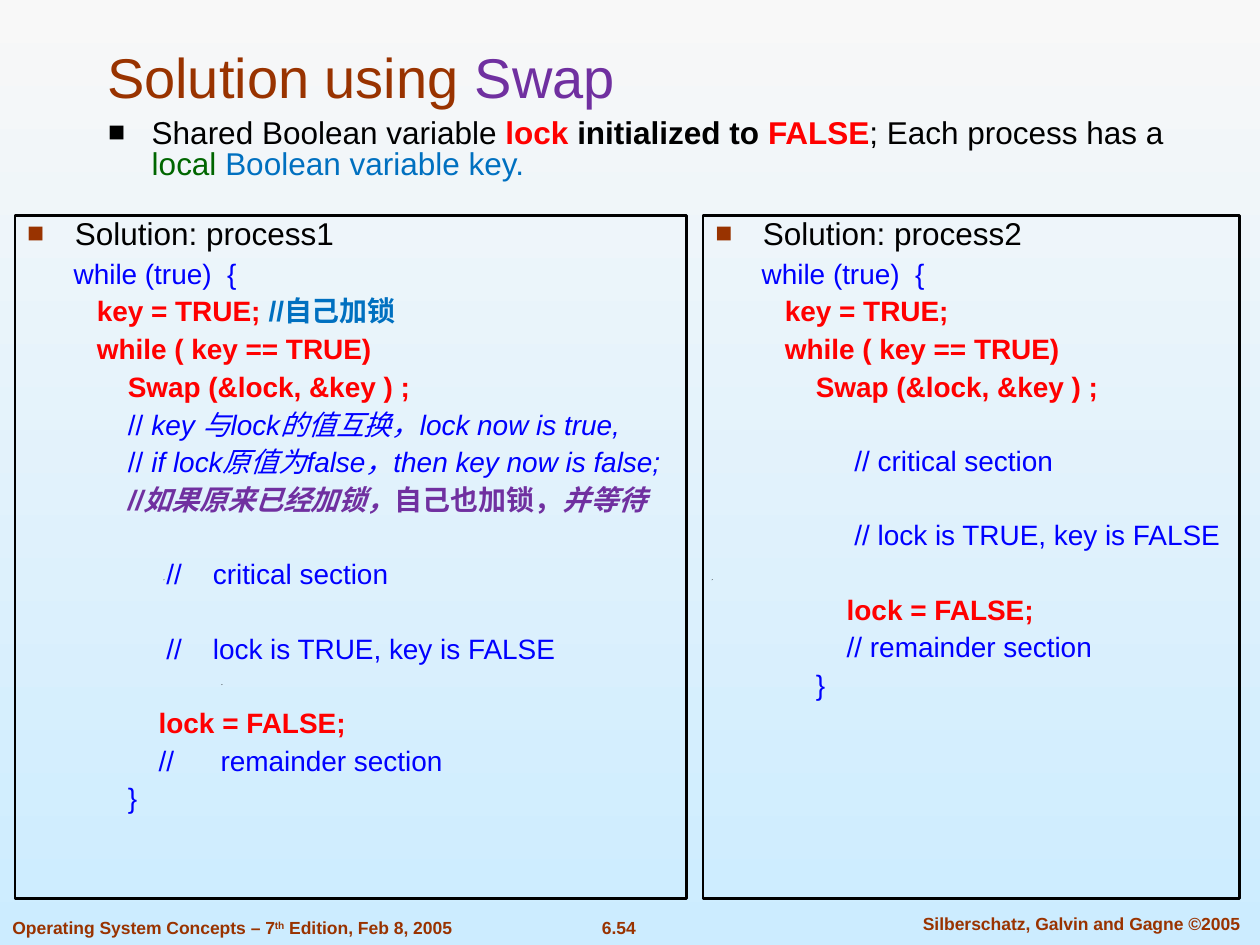
from dataclasses import dataclass

from lxml import etree
from pptx import Presentation
from pptx import util as u
from pptx.dml.color import RGBColor
from pptx.enum import shapes, text
from pptx.oxml import ns

COLORS = {
    "sky_top": "F8F8F8", "sky_bottom": "CCECFF", "brown": "993300",
    "black": "000000", "red": "FF0000", "blue": "0000FF",
    "purple": "7030A0", "green": "006600", "azure": "0070C0",
}
FONT = "Arial"
LINE_GAP = 6.2
BLANK_LINE_GAP = 27.1
HANG = u.Cm(0.96)


@dataclass
class Span:
    text: str
    color: str = "blue"
    bold: bool = False
    italic: bool = False
    raised: bool = False


@dataclass
class Line:
    spans: list[Span]
    size: float = 16
    before: float = LINE_GAP
    bullet: str = ""


@dataclass
class Box:
    left: float
    top: float
    width: float
    height: float

    def lengths(self) -> list[u.Length]:
        return [u.Cm(v) for v in (self.left, self.top, self.width, self.height)]


def rgb(name: str) -> RGBColor:
    return RGBColor.from_string(COLORS[name])


def write_spans(paragraph, spans: list[Span], size: float) -> None:
    for span in spans:
        run = paragraph.add_run()
        run.text = span.text
        run.font.name = FONT
        run.font.size = u.Pt(size)
        run.font.bold = span.bold
        run.font.italic = span.italic
        run.font.color.rgb = rgb(span.color)
        if span.raised:
            run._r.get_or_add_rPr().set("baseline", "30000")


def set_hanging(paragraph, hang: u.Length, bullet: str) -> None:
    props = paragraph._p.get_or_add_pPr()
    props.set("marL", str(hang))
    props.set("indent", str(-hang))
    if not bullet:
        etree.SubElement(props, ns.qn("a:buNone"))
        return
    color = etree.SubElement(props, ns.qn("a:buClr"))
    etree.SubElement(color, ns.qn("a:srgbClr"), val=COLORS[bullet])
    etree.SubElement(props, ns.qn("a:buSzPct"), val="90000")
    etree.SubElement(props, ns.qn("a:buFont"), typeface=FONT)
    etree.SubElement(props, ns.qn("a:buChar"), char="■")


def write_lines(frame, lines: list[Line], hang: u.Length) -> None:
    frame.word_wrap = True
    frame.vertical_anchor = text.MSO_ANCHOR.TOP
    for index, line in enumerate(lines):
        paragraph = frame.add_paragraph() if index else frame.paragraphs[0]
        set_hanging(paragraph, hang, line.bullet)
        paragraph.alignment = text.PP_ALIGN.LEFT
        paragraph.line_spacing = 0.8
        if index:
            paragraph.space_before = u.Pt(line.before)
        write_spans(paragraph, line.spans, line.size)


def add_label(slide, box: Box, spans: list[Span], size: float,
              align=text.PP_ALIGN.LEFT, anchor=text.MSO_ANCHOR.TOP) -> None:
    frame = slide.shapes.add_textbox(*box.lengths()).text_frame
    frame.word_wrap = True
    frame.vertical_anchor = anchor
    frame.paragraphs[0].alignment = align
    write_spans(frame.paragraphs[0], spans, size)


def add_panel(slide, box: Box, lines: list[Line]) -> None:
    panel = slide.shapes.add_shape(shapes.MSO_SHAPE.RECTANGLE, *box.lengths())
    panel.shadow.inherit = False
    panel.fill.background()
    panel.line.color.rgb = rgb("black")
    panel.line.width = u.Pt(1.5)
    write_lines(panel.text_frame, lines, HANG)


def add_speck(slide, left: float, top: float) -> None:
    builder = slide.shapes.build_freeform(u.Cm(left), u.Cm(top))
    builder.add_line_segments([(u.Cm(left + 0.02), u.Cm(top)),
                               (u.Cm(left), u.Cm(top + 0.02))])
    speck = builder.convert_to_shape()
    speck.shadow.inherit = False
    speck.fill.solid()
    speck.fill.fore_color.rgb = rgb("black")
    speck.line.fill.background()


def code(content: str, color: str = "blue", bold: bool = False,
         before: float = LINE_GAP) -> Line:
    return Line([Span(content, color, bold)], before=before)


def process_lines(name: str, key_note: list[Span], swap_notes: list[Line],
                  critical: str, state: str, remainder: str) -> list[Line]:
    return [
        Line([Span(f"Solution: {name}", "black")], 18, bullet="brown"),
        code("      while (true)  {"),
        Line([Span("         key = TRUE;", "red", True), *key_note]),
        code("         while ( key == TRUE)", "red", True),
        code("             Swap (&lock, &key ) ;", "red", True),
        *swap_notes,
        code(f"                  {critical}", before=BLANK_LINE_GAP),
        code(f"                  {state}", before=BLANK_LINE_GAP),
        code("                 lock = FALSE;", "red", True, BLANK_LINE_GAP),
        code(f"                 {remainder}"),
        code("             }"),
    ]


def main() -> None:
    deck = Presentation()
    deck.slide_width, deck.slide_height = u.Cm(25.4), u.Cm(19.05)
    slide = deck.slides.add_slide(deck.slide_layouts[6])

    sky = slide.background.fill
    sky.gradient()
    sky.gradient_angle = 270
    for stop, name in zip(sky.gradient_stops, ("sky_top", "sky_bottom")):
        stop.color.rgb = rgb(name)

    for left, top in ((4.47, 13.79), (3.3, 11.68), (14.35, 11.68), (3.28, 2.46)):
        add_speck(slide, left, top)

    center = text.PP_ALIGN.CENTER
    add_label(slide, Box(11.66, 18.36, 1.63, 0.69),
              [Span("6.54", "brown", True)], 10, center)
    add_label(slide, Box(18.03, 18.29, 7.54, 0.69),
              [Span("Silberschatz, Galvin and Gagne ©2005", "brown", True)], 10, center)
    add_label(slide, Box(0, 18.36, 10.44, 0.69),
              [Span("Operating System Concepts – 7", "brown", True),
               Span("th", "brown", True, raised=True),
               Span(" Edition, Feb 8, 2005", "brown", True)], 10)
    add_label(slide, Box(1.91, 0.64, 22.43, 1.7),
              [Span("Solution using ", "brown"), Span("Swap", "purple")], 32,
              anchor=text.MSO_ANCHOR.BOTTOM)

    summary = slide.shapes.add_textbox(*Box(1.93, 2.31, 22.73, 1.63).lengths())
    write_lines(summary.text_frame, [Line([
        Span("Shared Boolean variable ", "black"),
        Span("lock ", "red", True),
        Span("initialized to ", "black", True),
        Span("FALSE", "red", True),
        Span("; Each process has a ", "black"),
        Span("local ", "green"),
        Span("Boolean variable key.", "azure"),
    ], 18, bullet="black")], u.Cm(0.88))

    note_indent = "             //"
    swap_notes = [
        Line([Span(f"{note_indent} "),
              Span("key 与lock的值互换，lock now is true,", italic=True)]),
        Line([Span(f"{note_indent} "),
              Span("if lock原值为false，then key now is false;", italic=True)]),
        Line([Span(f"{note_indent}如果原来已经加锁，", "purple", True, True),
              Span("自己也加锁，", "purple", True),
              Span("并等待", "purple", True, True)]),
    ]
    add_panel(slide, Box(0.3, 4.34, 13.54, 13.77), process_lines(
        "process1", [Span(" //自己加锁", "azure", True)], swap_notes,
        "//    critical section", "//    lock is TRUE, key is FALSE",
        "//      remainder section"))
    add_panel(slide, Box(14.17, 4.34, 10.82, 13.77), process_lines(
        "process2", [], [], "// critical section",
        "// lock is TRUE, key is FALSE", "// remainder section"))

    deck.save("out.pptx")


if __name__ == "__main__":
    main()
